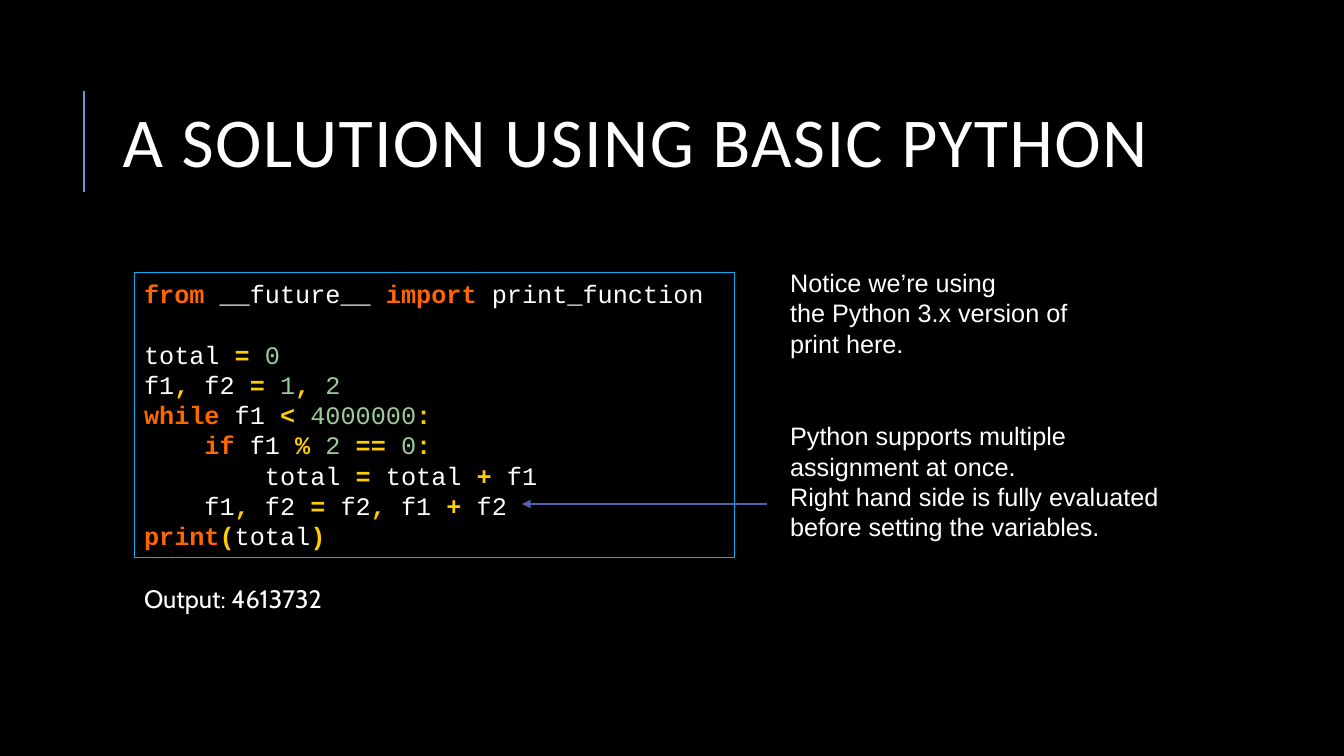
"""Build a slide that explains a basic Python solution, line by line."""
from dataclasses import dataclass

from lxml import etree
from pptx import Presentation
from pptx.dml.color import RGBColor
from pptx.enum.shapes import MSO_CONNECTOR, MSO_SHAPE
from pptx.enum.text import MSO_ANCHOR, PP_ALIGN
from pptx.oxml.ns import qn
from pptx.shapes.base import BaseShape
from pptx.slide import Slide
from pptx.util import Pt

STRAIGHT = MSO_CONNECTOR.STRAIGHT
RECTANGLE = MSO_SHAPE.RECTANGLE
TOP, MIDDLE = MSO_ANCHOR.TOP, MSO_ANCHOR.MIDDLE
LEFT = PP_ALIGN.LEFT
BLANK_LAYOUT = 6


@dataclass(frozen=True)
class Theme:
    background: str = "000000"
    text: str = "FFFFFF"
    keyword: str = "FF6600"
    operator: str = "FFCC00"
    number: str = "99CC99"
    code_border: str = "00B0F0"
    title_bar: str = "629DD1"
    arrow: str = "4A66AC"
    title_size: float = 50
    body_size: float = 18
    line_pitch: float = 21.6
    code_indent: float = 43.2


@dataclass(frozen=True)
class Frame:
    left: float
    top: float
    width: float
    height: float


@dataclass(frozen=True)
class CodeLine:
    tokens: str
    depth: int = 0
    gap_lines: int = 0


@dataclass(frozen=True)
class TextBlock:
    frame: Frame
    lines: tuple[str, ...]
    font: str
    size: float
    spacing: float | Pt
    inset_top: float = 3.6
    anchor: MSO_ANCHOR = TOP
    wrap: bool = True
    tracking: int = 0


@dataclass(frozen=True)
class Rule:
    start: tuple[float, float]
    end: tuple[float, float]
    color: str
    weight: float
    arrow: bool = False


THEME = Theme()
PITCH = Pt(THEME.line_pitch)
KEYWORDS = {"from", "import", "while", "if", "print"}
OPERATORS = set(", = < : % == + ( )".split())

CODE_FRAME = Frame(95.8, 194.4, 429.1, 203.8)
CODE = (
    CodeLine("from| __future__ |import |print_function"),
    CodeLine("total |= |0", gap_lines=1),
    CodeLine("f1|,| f2 |= |1|, |2"),
    CodeLine("while |f1 |< |4000000|:"),
    CodeLine("if |f1 |% |2 |== |0|:", depth=1),
    CodeLine("total |=| total |+ |f1", depth=2),
    CodeLine("f1|,| f2 |=| f2|,| f1 |+| f2", depth=1),
    CodeLine("print|(|total|)"),
)
BLOCKS = (
    TextBlock(Frame(80.6, 46.1, 765.4, 118.1), ("A SOLUTION USING BASIC PYTHON",),
              "Calibri", THEME.title_size, 0.8, anchor=MIDDLE, tracking=100),
    TextBlock(Frame(557.3, 186.5, 400, 72.7),
              ("Notice we’re using", "the Python 3.x version of", "print here."),
              "Arial", THEME.body_size, PITCH, inset_top=4.5),
    TextBlock(Frame(557.3, 295.9, 288.7, 94.3),
              ("Python supports multiple", "assignment at once.",
               "Right hand side is fully evaluated", "before setting the variables."),
              "Arial", THEME.body_size, PITCH, inset_top=4.5),
    TextBlock(Frame(95.8, 413.3, 148.3, 28.8), ("Output: 4613732",),
              "Cabin", THEME.body_size, 1.0, wrap=False),
)
RULES = (
    Rule((59.8, 136.8), (59.8, 64.8), THEME.title_bar, 1.5),
    Rule((547.9, 360), (373, 360), THEME.arrow, 0.75, arrow=True),
)


def apply_format(target: object, values: dict[str, object]) -> None:
    for name, value in values.items():
        setattr(target, name, value)


def place(frame: Frame) -> tuple[Pt, Pt, Pt, Pt]:
    return Pt(frame.left), Pt(frame.top), Pt(frame.width), Pt(frame.height)


def add_span(para, text: str, font: str, size: float, color: str,
             bold: bool = False, tracking: int = 0) -> None:
    span = para.add_run()
    span.text = text
    apply_format(span.font, {"name": font, "size": Pt(size), "bold": bold})
    span.font.color.rgb = RGBColor.from_string(color)
    if tracking:
        span.font._element.set("spc", str(tracking))


def prepare_frame(box: BaseShape, inset_top: float, anchor: MSO_ANCHOR, wrap: bool) -> None:
    apply_format(box.text_frame, {
        "word_wrap": wrap, "vertical_anchor": anchor,
        "margin_left": Pt(7.2), "margin_right": Pt(7.2),
        "margin_top": Pt(inset_top), "margin_bottom": Pt(3.6),
    })


def next_para(box: BaseShape, index: int, values: dict[str, object]):
    text_frame = box.text_frame
    para = text_frame.add_paragraph() if index else text_frame.paragraphs[0]
    apply_format(para, {"alignment": LEFT, **values})
    return para


def add_block(page: Slide, block: TextBlock) -> None:
    box = page.shapes.add_textbox(*place(block.frame))
    prepare_frame(box, block.inset_top, block.anchor, block.wrap)
    for index, line in enumerate(block.lines):
        para = next_para(box, index, {"line_spacing": block.spacing})
        add_span(para, line, block.font, block.size, THEME.text, tracking=block.tracking)


def token_style(token: str) -> tuple[str, bool]:
    word = token.strip()
    if word in KEYWORDS:
        return THEME.keyword, True
    if word in OPERATORS:
        return THEME.operator, True
    return (THEME.number if word.isdigit() else THEME.text), False


def add_code(page: Slide, frame: Frame, lines: tuple[CodeLine, ...]) -> None:
    box = page.shapes.add_shape(RECTANGLE, *place(frame))
    box.shadow.inherit = False
    box.fill.background()
    box.line.color.rgb = RGBColor.from_string(THEME.code_border)
    box.line.width = Pt(0.75)
    prepare_frame(box, 4.5, TOP, True)
    for index, line in enumerate(lines):
        para = next_para(box, index, {
            "line_spacing": PITCH, "space_before": Pt(THEME.line_pitch * line.gap_lines),
        })
        indent = Pt(THEME.code_indent * line.depth)
        para._p.get_or_add_pPr().set("marL", str(int(indent)))
        for token in line.tokens.split("|"):
            color, bold = token_style(token)
            add_span(para, token, "Courier New", THEME.body_size, color, bold)


def add_rule(page: Slide, rule: Rule) -> None:
    points = [Pt(value) for value in (*rule.start, *rule.end)]
    connector = page.shapes.add_connector(STRAIGHT, *points)
    connector.line.color.rgb = RGBColor.from_string(rule.color)
    connector.line.width = Pt(rule.weight)
    properties = connector._element.spPr
    if rule.arrow:
        etree.SubElement(properties.find(qn("a:ln")), qn("a:tailEnd"), type="triangle")
    etree.SubElement(properties, qn("a:effectLst"))


def main() -> None:
    deck = Presentation()
    apply_format(deck, {"slide_width": Pt(960), "slide_height": Pt(540)})
    page = deck.slides.add_slide(deck.slide_layouts[BLANK_LAYOUT])
    page.background.fill.solid()
    page.background.fill.fore_color.rgb = RGBColor.from_string(THEME.background)
    add_code(page, CODE_FRAME, CODE)
    for block in BLOCKS:
        add_block(page, block)
    for rule in RULES:
        add_rule(page, rule)
    deck.save("out.pptx")


if __name__ == "__main__":
    main()
